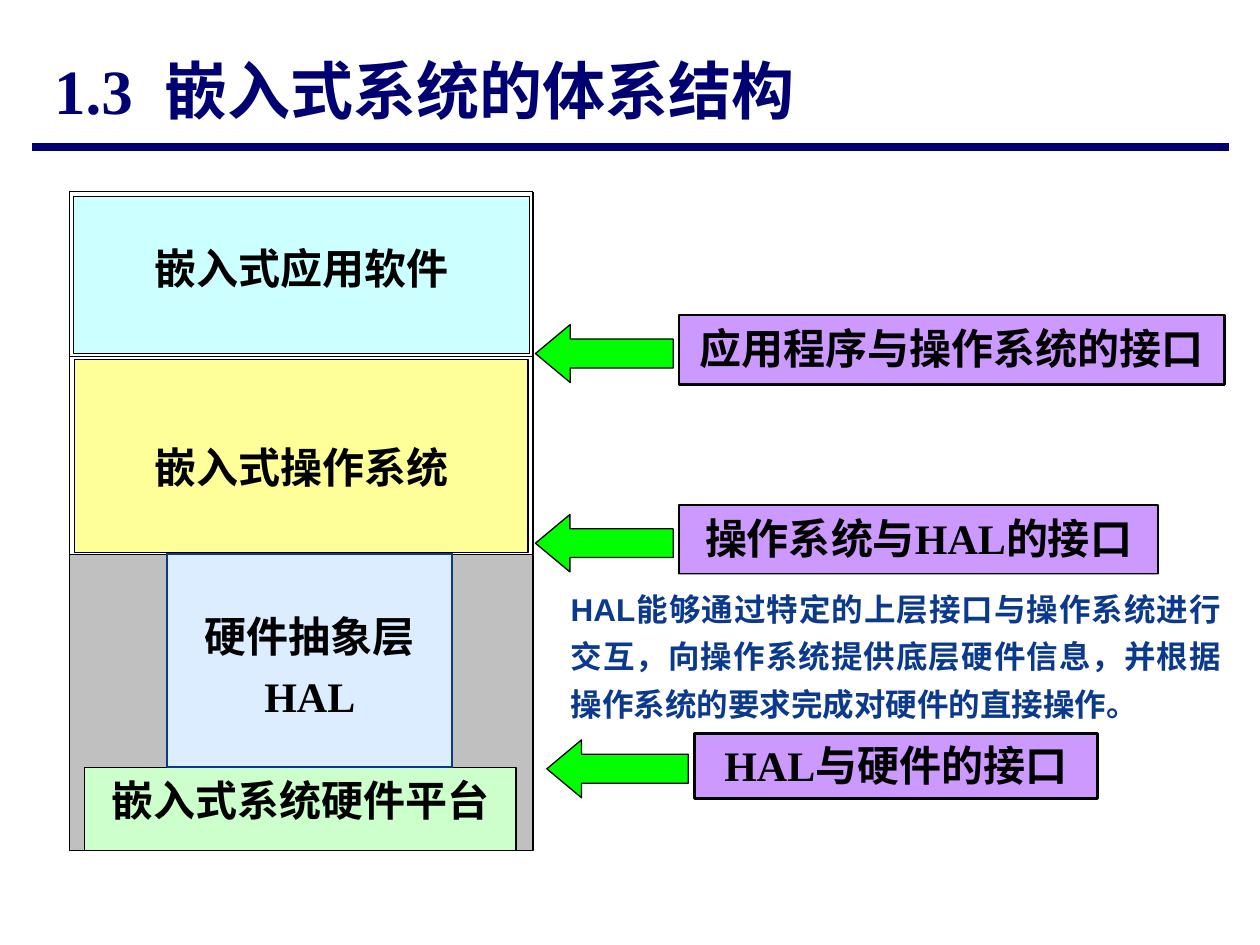
from pptx import Presentation
from pptx.dml.color import RGBColor
from pptx.enum.shapes import MSO_CONNECTOR, MSO_SHAPE as SHAPE
from pptx.enum.text import MSO_ANCHOR as ANCHOR, PP_ALIGN as ALIGN
from pptx.util import Pt
from lxml import etree

NAVY = RGBColor(0x00, 0x00, 0x72)
BLUE = RGBColor(0x0B, 0x39, 0x8B)
BLACK = RGBColor(0x00, 0x00, 0x00)
WHITE = RGBColor(0xFF, 0xFF, 0xFF)
GRAY = RGBColor(0xC0, 0xC0, 0xC0)
MINT = RGBColor(0xCC, 0xFF, 0xCC)
ICE = RGBColor(0xDB, 0xED, 0xFF)
CYAN = RGBColor(0xCC, 0xFF, 0xFF)
YELLOW = RGBColor(0xFF, 0xFF, 0x99)
VIOLET = RGBColor(0xCC, 0x99, 0xFF)
GREEN = RGBColor(0x00, 0xFF, 0x00)
SERIF = "Times New Roman"
A_NS = "http://schemas.openxmlformats.org/drawingml/2006/main"

prs = Presentation()
prs.slide_width, prs.slide_height = Pt(720), Pt(540)
slide = prs.slides.add_slide(prs.slide_layouts[6])
shapes = slide.shapes


def add_block(box, fill, lines=(), edge=BLACK, weight=0.75, shift=0, spacing=1.0, kind=SHAPE.RECTANGLE):
    block = shapes.add_shape(kind, *map(Pt, box))
    block.shadow.inherit = False
    block.fill.solid()
    block.fill.fore_color.rgb = fill
    block.line.color.rgb = edge
    block.line.width = Pt(weight)
    frame = block.text_frame
    frame.vertical_anchor = ANCHOR.MIDDLE
    frame.margin_top, frame.margin_bottom = Pt(max(2 * shift, 0)), Pt(max(-2 * shift, 0))
    for i, line in enumerate(lines):
        paragraph = frame.add_paragraph() if i else frame.paragraphs[0]
        paragraph.text = line
        paragraph.alignment = ALIGN.CENTER
        paragraph.line_spacing = spacing
        paragraph.font.name, paragraph.font.size, paragraph.font.bold = SERIF, Pt(24), True
        paragraph.font.color.rgb = BLACK
    return block


def add_rule(x1, y1, x2, y2, color=BLACK, weight=0.75):
    rule = shapes.add_connector(MSO_CONNECTOR.STRAIGHT, Pt(x1), Pt(y1), Pt(x2), Pt(y2))
    rule.line.color.rgb = color
    rule.line.width = Pt(weight)
    etree.SubElement(rule._element.spPr, f"{{{A_NS}}}effectLst")


add_rule(18, 84.2, 702, 84.2, NAVY, 4.5)

left, right, top, divider, base = 39.6, 304.6, 109.6, 203.8, 316.8
add_block((left, base, right - left, 169.2), GRAY)
add_block((48.4, 438.5, 246.5, 47.5), MINT, ["嵌入式系统硬件平台"], shift=-5)
add_block((95.6, 316.3, 162.9, 122.2), ICE, ["硬件抽象层", "HAL"], BLUE, 1.25, spacing=1.2)
add_block((41.9, 112.3, 260.6, 89.8), CYAN, ["嵌入式应用软件"], shift=-4)
add_block((42.6, 205.3, 259.2, 110.3), YELLOW, ["嵌入式操作系统"], shift=6)
for ends in [
    (left, divider, right, divider),
    (left, base, left, top),
    (left, top, right, top),
    (right, top, right, base),
]:
    add_rule(*ends)

interfaces = [
    ("应用程序与操作系统的接口", (388.1, 180, 311.8, 39.6), (306, 185.5, 78.7, 33.1)),
    ("操作系统与HAL的接口", (388.1, 288.5, 273.6, 39.6), (306, 294, 78.7, 32.8)),
    ("HAL与硬件的接口", (396.7, 419, 230.4, 37.4), (312.5, 422.8, 80.8, 33.1)),
]
for label, label_box, arrow_box in interfaces:
    add_block(label_box, VIOLET, [label], weight=1.5, shift=-1)
    arrow = add_block(arrow_box, GREEN, kind=SHAPE.LEFT_ARROW)
    arrow.adjustments[0], arrow.adjustments[1] = 0.5, 0.6

passages = [
    ("1.3  嵌入式系统的体系结构", (23.8, 18, 563.8, 66.2), SERIF, 36, NAVY, ANCHOR.MIDDLE, ALIGN.LEFT, 1.0),
    ("HAL能够通过特定的上层接口与操作系统进行交互，向操作系统提供底层硬件信息，并根据操作系统的要求完成对硬件的直接操作。",
     (319, 328.3, 385.9, 84.2), "Arial", 18, BLUE, ANCHOR.TOP, ALIGN.JUSTIFY, 1.25),
]
for text, box, font_name, size, color, anchor, align, spacing in passages:
    passage = shapes.add_textbox(*map(Pt, box))
    passage.fill.solid()
    passage.fill.fore_color.rgb = WHITE
    if anchor == ANCHOR.MIDDLE:
        passage.fill.background()
    frame = passage.text_frame
    frame.word_wrap = True
    frame.vertical_anchor = anchor
    paragraph = frame.paragraphs[0]
    paragraph.text = text
    paragraph.alignment = align
    paragraph.line_spacing = spacing
    paragraph.font.name, paragraph.font.size, paragraph.font.bold = font_name, Pt(size), True
    paragraph.font.color.rgb = color

prs.save("out.pptx")
